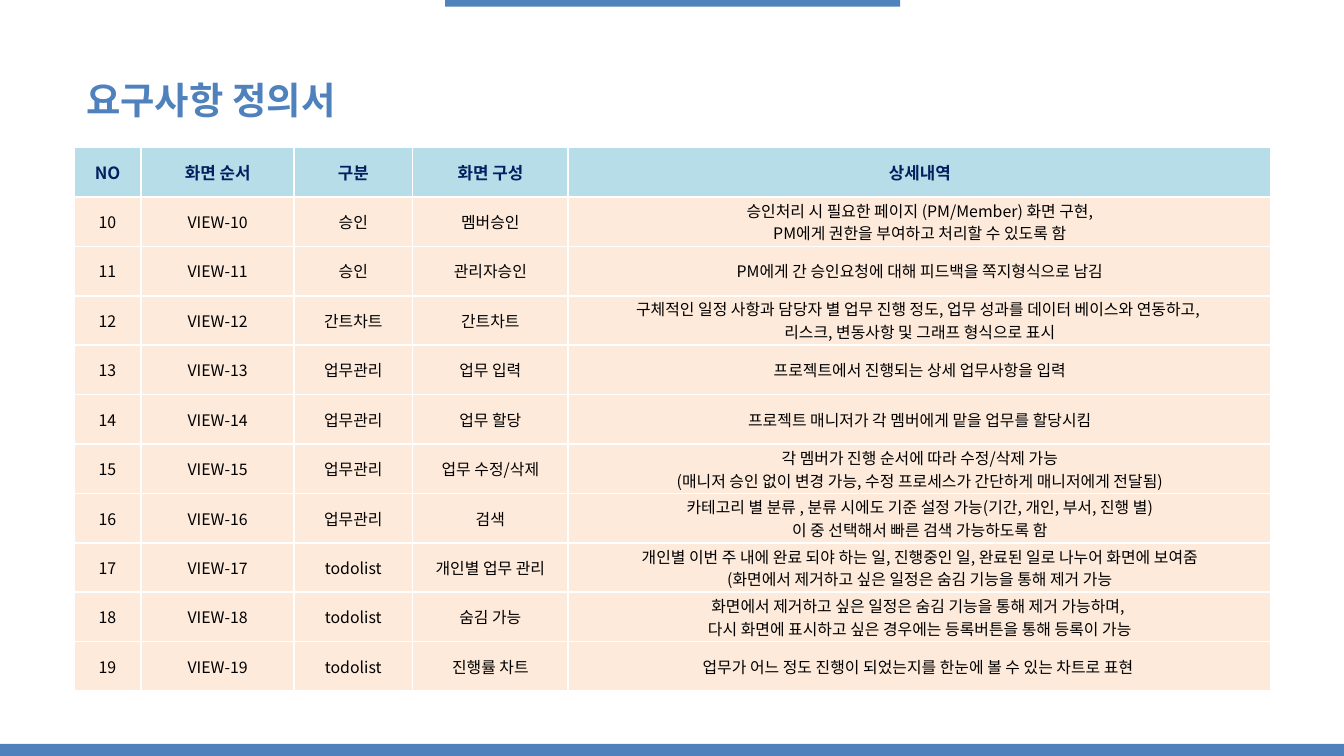
from dataclasses import dataclass

from lxml import etree
from pptx import Presentation
from pptx.dml.color import RGBColor
from pptx.enum.shapes import MSO_SHAPE
from pptx.enum.text import MSO_ANCHOR, PP_ALIGN
from pptx.oxml.ns import qn
from pptx.util import Pt

RECT = MSO_SHAPE.RECTANGLE
TOP, MIDDLE = MSO_ANCHOR.TOP, MSO_ANCHOR.MIDDLE
LEFT, CENTER = PP_ALIGN.LEFT, PP_ALIGN.CENTER

FONT = "Noto Sans CJK KR"
BLUE, NAVY, BLACK, WHITE = "4F81BD", "002060", "000000", "FFFFFF"
HEADER_FILL, BODY_FILL = "B7DEE8", "FDEADA"

COL_WIDTHS = (36, 82, 63.4, 83.5, 376.6)
ROW_HEIGHT = 26.5
FIRST_NO = 10
HEADERS = ("NO", "화면 순서", "구분", "화면 구성", "상세내역")


@dataclass
class Bar:
    x: float
    y: float
    w: float
    h: float


@dataclass
class Style:
    size: float
    color: str
    bold: bool


@dataclass
class Requirement:
    group: str
    screen: str
    details: tuple[str, ...]


BARS = (Bar(238.4, 0, 243.8, 3.6), Bar(0, 398.6, 720, 6.4))
TITLE_STYLE = Style(20, BLUE, True)
HEADER_STYLE = Style(9, NAVY, True)
BODY_STYLE = Style(8.5, BLACK, False)

REQUIREMENTS = (
    Requirement("승인", "멤버승인", (
        "승인처리 시 필요한 페이지 (PM/Member) 화면 구현,",
        "PM에게 권한을 부여하고 처리할 수 있도록 함")),
    Requirement("승인", "관리자승인", (
        "PM에게 간 승인요청에 대해 피드백을 쪽지형식으로 남김",)),
    Requirement("간트차트", "간트차트", (
        "구체적인 일정 사항과 담당자 별 업무 진행 정도, 업무 성과를 데이터 베이스와 연동하고, ",
        "리스크, 변동사항 및 그래프 형식으로 표시")),
    Requirement("업무관리", "업무 입력", (
        "프로젝트에서 진행되는 상세 업무사항을 입력",)),
    Requirement("업무관리", "업무 할당", (
        "프로젝트 매니저가 각 멤버에게 맡을 업무를 할당시킴",)),
    Requirement("업무관리", "업무 수정/삭제", (
        "각 멤버가 진행 순서에 따라 수정/삭제 가능",
        "(매니저 승인 없이 변경 가능, 수정 프로세스가 간단하게 매니저에게 전달됨)")),
    Requirement("업무관리", "검색", (
        "카테고리 별 분류 , 분류 시에도 기준 설정 가능(기간, 개인, 부서, 진행 별)",
        "이 중 선택해서 빠른 검색 가능하도록 함")),
    Requirement("todolist", "개인별 업무 관리", (
        "개인별 이번 주 내에 완료 되야 하는 일, 진행중인 일, 완료된 일로 나누어 화면에 보여줌",
        "(화면에서 제거하고 싶은 일정은 숨김 기능을 통해 제거 가능")),
    Requirement("todolist", "숨김 가능", (
        "화면에서 제거하고 싶은 일정은 숨김 기능을 통해 제거 가능하며, ",
        "다시 화면에 표시하고 싶은 경우에는 등록버튼을 통해 등록이 가능")),
    Requirement("todolist", "진행률 차트", (
        "업무가 어느 정도 진행이 되었는지를 한눈에 볼 수 있는 차트로 표현 ",)),
)


def rgb(color: str) -> RGBColor:
    return RGBColor.from_string(color)


def write(tf, lines: tuple[str, ...], style: Style, align) -> None:
    for i, line in enumerate(lines):
        p = tf.add_paragraph() if i else tf.paragraphs[0]
        p.alignment = align
        r = p.add_run()
        r.text = line
        r.font.name = FONT
        r.font.size = Pt(style.size)
        r.font.bold = style.bold
        r.font.color.rgb = rgb(style.color)
        # East Asian typeface, placed right after the Latin one
        ea = etree.Element(qn("a:ea"), typeface=FONT)
        r.font._element.find(qn("a:latin")).addnext(ea)


def draw_bar(s, bar: Bar) -> None:
    sp = s.shapes.add_shape(RECT, Pt(bar.x), Pt(bar.y), Pt(bar.w), Pt(bar.h))
    sp.shadow.inherit = False
    sp.fill.solid()
    sp.fill.fore_color.rgb = rgb(BLUE)
    sp.line.fill.background()


def draw_title(s, text: str) -> None:
    sp = s.shapes.title
    sp.left, sp.top, sp.width, sp.height = Pt(39), Pt(37.5), Pt(267), Pt(31.5)
    tf = sp.text_frame
    tf.word_wrap = True
    tf.vertical_anchor = TOP
    write(tf, (text,), TITLE_STYLE, LEFT)


def add_borders(cell, color: str, width: float) -> None:
    tc_pr = cell._tc.get_or_add_tcPr()
    for i, side in enumerate(("lnL", "lnR", "lnT", "lnB")):
        ln = etree.Element(qn(f"a:{side}"), w=str(Pt(width)))
        fill = etree.SubElement(ln, qn("a:solidFill"))
        etree.SubElement(fill, qn("a:srgbClr"), val=color)
        tc_pr.insert(i, ln)


def fill_cell(cell, lines: tuple[str, ...], style: Style, fill: str) -> None:
    cell.margin_left = cell.margin_right = cell.margin_top = cell.margin_bottom = 0
    cell.vertical_anchor = MIDDLE
    cell.fill.solid()
    cell.fill.fore_color.rgb = rgb(fill)
    add_borders(cell, WHITE, 1)
    write(cell.text_frame, lines, style, CENTER)


def draw_table(s, x: float, y: float) -> None:
    rows = [[(h,) for h in HEADERS]]
    for no, req in enumerate(REQUIREMENTS, FIRST_NO):
        rows.append([(str(no),), (f"VIEW-{no}",), (req.group,), (req.screen,), req.details])

    table = s.shapes.add_table(len(rows), len(COL_WIDTHS), Pt(x), Pt(y),
                               Pt(sum(COL_WIDTHS)), Pt(ROW_HEIGHT * len(rows))).table
    table.horz_banding = False
    for column, width in zip(table.columns, COL_WIDTHS):
        column.width = Pt(width)
    for i, row in enumerate(rows):
        table.rows[i].height = Pt(ROW_HEIGHT)
        style, fill = (BODY_STYLE, BODY_FILL) if i else (HEADER_STYLE, HEADER_FILL)
        for j, lines in enumerate(row):
            fill_cell(table.cell(i, j), lines, style, fill)


def main() -> None:
    prs = Presentation()
    prs.slide_width, prs.slide_height = Pt(720), Pt(405)
    s = prs.slides.add_slide(prs.slide_layouts[5])

    # Accent bars at the top and bottom edges
    for bar in BARS:
        draw_bar(s, bar)

    # Title and requirements table
    draw_title(s, "요구사항 정의서")
    draw_table(s, 39.6, 79)

    prs.save("out.pptx")


if __name__ == "__main__":
    main()
